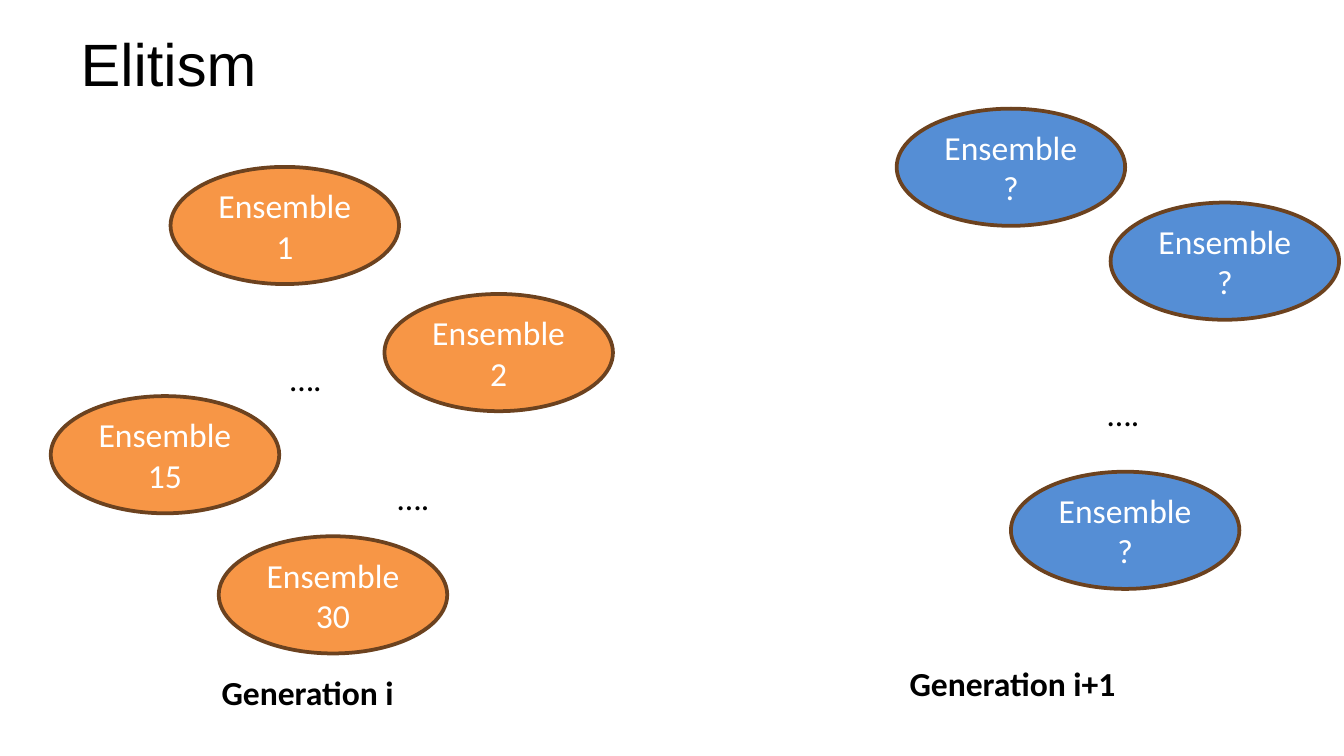
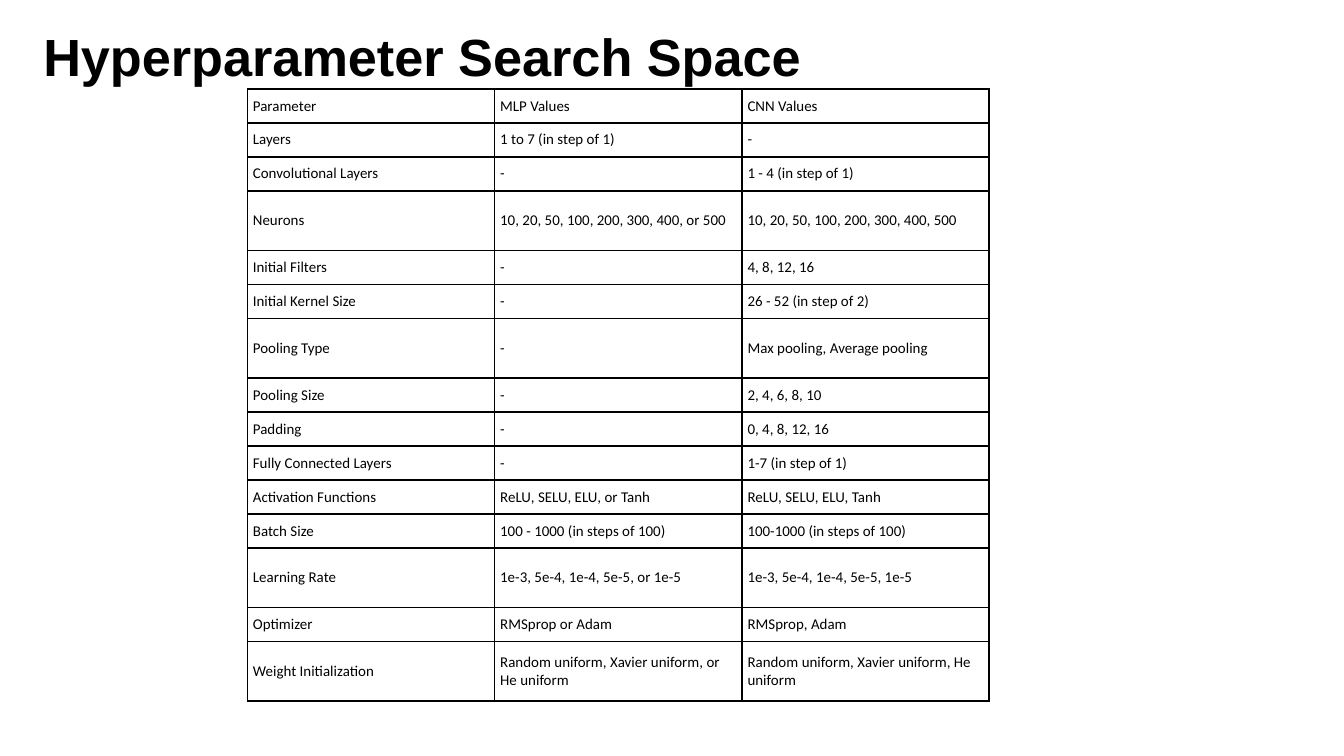
from lxml import etree
from pptx import Presentation
from pptx.dml.color import RGBColor
from pptx.enum import shapes, text
from pptx.oxml.ns import qn
from pptx.util import Pt

COLORS = {
    "text": "000000",
    "light": "FFFFFF",
    "current": "F79646",
    "next": "558ED5",
    "outline": "6C421F",
}
TITLE_FONT, BODY_FONT = "Arial", "Calibri"
OVAL_W, OVAL_H = 122.4, 62.8
COL_W, ROW_H, TALL_ROW_H = 132.5, 18.2, 32
TALL_ROWS = {"Neurons", "Pooling Type", "Learning Rate", "Weight Initialization"}

CURRENT_GENERATION = [
    ("Ensemble 1", 91.4, 89.4),
    ("Ensemble 30", 117.2, 287.3),
    ("Ensemble\v2", 206, 157.5),
    ("Ensemble\v15", 27.2, 212.2),
]
NEXT_GENERATION = [
    ("Ensemble\v?", 480.4, 58.2),
    ("Ensemble\v?", 595, 108.5),
    ("Ensemble\v?", 541.6, 252.7),
]
LABELS = [
    ("….", 148.3, 188, 33, False),
    ("….", 206, 252, 33, False),
    ("….", 586.3, 207.2, 33, False),
    ("Generation i", 111.6, 356.6, 120, True),
    ("Generation i+1", 480.2, 351.6, 144, True),
]
SEARCH_SPACE = [
    ("Parameter", "MLP Values", "CNN Values"),
    ("Layers", "1 to 7 (in step of 1)", "-"),
    ("Convolutional Layers", "-", "1 - 4 (in step of 1)"),
    ("Neurons", "10, 20, 50, 100, 200, 300, 400, or 500",
     "10, 20, 50, 100, 200, 300, 400, 500"),
    ("Initial Filters", "-", "4, 8, 12, 16"),
    ("Initial Kernel Size", "-", "26 - 52 (in step of 2)"),
    ("Pooling Type", "-", "Max pooling, Average pooling"),
    ("Pooling Size", "-", "2, 4, 6, 8, 10"),
    ("Padding", "-", "0, 4, 8, 12, 16"),
    ("Fully Connected Layers", "-", "1-7 (in step of 1)"),
    ("Activation Functions", "ReLU, SELU, ELU, or Tanh", "ReLU, SELU, ELU, Tanh"),
    ("Batch Size", "100 - 1000 (in steps of 100)", "100-1000 (in steps of 100)"),
    ("Learning Rate", "1e-3, 5e-4, 1e-4, 5e-5, or 1e-5", "1e-3, 5e-4, 1e-4, 5e-5, 1e-5"),
    ("Optimizer", "RMSprop or Adam", "RMSprop, Adam"),
    ("Weight Initialization", "Random uniform, Xavier uniform, or He uniform",
     "Random uniform, Xavier uniform, He uniform"),
]


def rgb(name):
    return RGBColor.from_string(COLORS[name])


def write(tf, content, size, color="text", font=BODY_FONT, bold=False,
          align=text.PP_ALIGN.LEFT):
    tf.text = content
    for p in tf.paragraphs:
        p.alignment = align
        for r in p.runs:
            r.font.size = Pt(size)
            r.font.name = font
            r.font.bold = bold
            r.font.color.rgb = rgb(color)


def add_titled_slide(prs, title, x, y, h, size, bold=False):
    slide = prs.slides.add_slide(prs.slide_layouts[5])
    sp = slide.shapes.title
    sp.left, sp.top, sp.width, sp.height = Pt(x), Pt(y), Pt(648), Pt(h)
    tf = sp.text_frame
    tf.auto_size = text.MSO_AUTO_SIZE.NONE
    tf.vertical_anchor = text.MSO_ANCHOR.MIDDLE
    write(tf, title, size, font=TITLE_FONT, bold=bold)
    return slide


def add_ensemble(slide, name, x, y, fill):
    sp = slide.shapes.add_shape(shapes.MSO_SHAPE.OVAL, Pt(x), Pt(y), Pt(OVAL_W), Pt(OVAL_H))
    sp.shadow.inherit = False
    sp.fill.solid()
    sp.fill.fore_color.rgb = rgb(fill)
    sp.line.color.rgb = rgb("outline")
    sp.line.width = Pt(2)
    sp.text_frame.word_wrap = True
    sp.text_frame.vertical_anchor = text.MSO_ANCHOR.MIDDLE
    write(sp.text_frame, name, 18, "light", align=text.PP_ALIGN.CENTER)


def add_label(slide, content, x, y, w, bold):
    tf = slide.shapes.add_textbox(Pt(x), Pt(y), Pt(w), Pt(29)).text_frame
    tf.word_wrap = True
    tf.auto_size = text.MSO_AUTO_SIZE.SHAPE_TO_FIT_TEXT
    write(tf, content, 18, bold=bold)


def set_borders(cell):
    """Draw a thin solid line on all four sides; call before filling the cell."""
    props = cell._tc.get_or_add_tcPr()
    for side in ("lnL", "lnR", "lnT", "lnB"):
        line = etree.SubElement(props, qn(f"a:{side}"), w=str(Pt(1)))
        fill = etree.SubElement(line, qn("a:solidFill"))
        etree.SubElement(fill, qn("a:srgbClr"), val=COLORS["text"])


def format_cell(cell, content):
    set_borders(cell)
    cell.fill.background()
    cell.margin_left = cell.margin_right = Pt(3)
    cell.margin_top = cell.margin_bottom = Pt(1.5)
    cell.vertical_anchor = text.MSO_ANCHOR.MIDDLE
    write(cell.text_frame, content, 8)


def add_table(slide, rows, x, y):
    heights = [TALL_ROW_H if row[0] in TALL_ROWS else ROW_H for row in rows]
    n_cols = len(rows[0])
    table = slide.shapes.add_table(len(rows), n_cols, Pt(x), Pt(y),
                                   Pt(COL_W * n_cols), Pt(sum(heights))).table
    table.first_row = table.horz_banding = False
    for col in table.columns:
        col.width = Pt(COL_W)
    for i, row in enumerate(rows):
        table.rows[i].height = Pt(heights[i])
        for j, content in enumerate(row):
            format_cell(table.cell(i, j), content)


def main():
    prs = Presentation()
    prs.slide_width, prs.slide_height = Pt(720), Pt(405)

    elitism = add_titled_slide(prs, "Elitism", 36, 0, 67.5, 32)
    for fill, ensembles in (("current", CURRENT_GENERATION), ("next", NEXT_GENERATION)):
        for name, x, y in ensembles:
            add_ensemble(elitism, name, x, y, fill)
    for label in LABELS:
        add_label(elitism, *label)

    search = add_titled_slide(prs, "Hyperparameter Search Space", 16, 0, 60, 28, bold=True)
    add_table(search, SEARCH_SPACE, 132.5, 47.6)

    prs.save("out.pptx")


if __name__ == "__main__":
    main()
